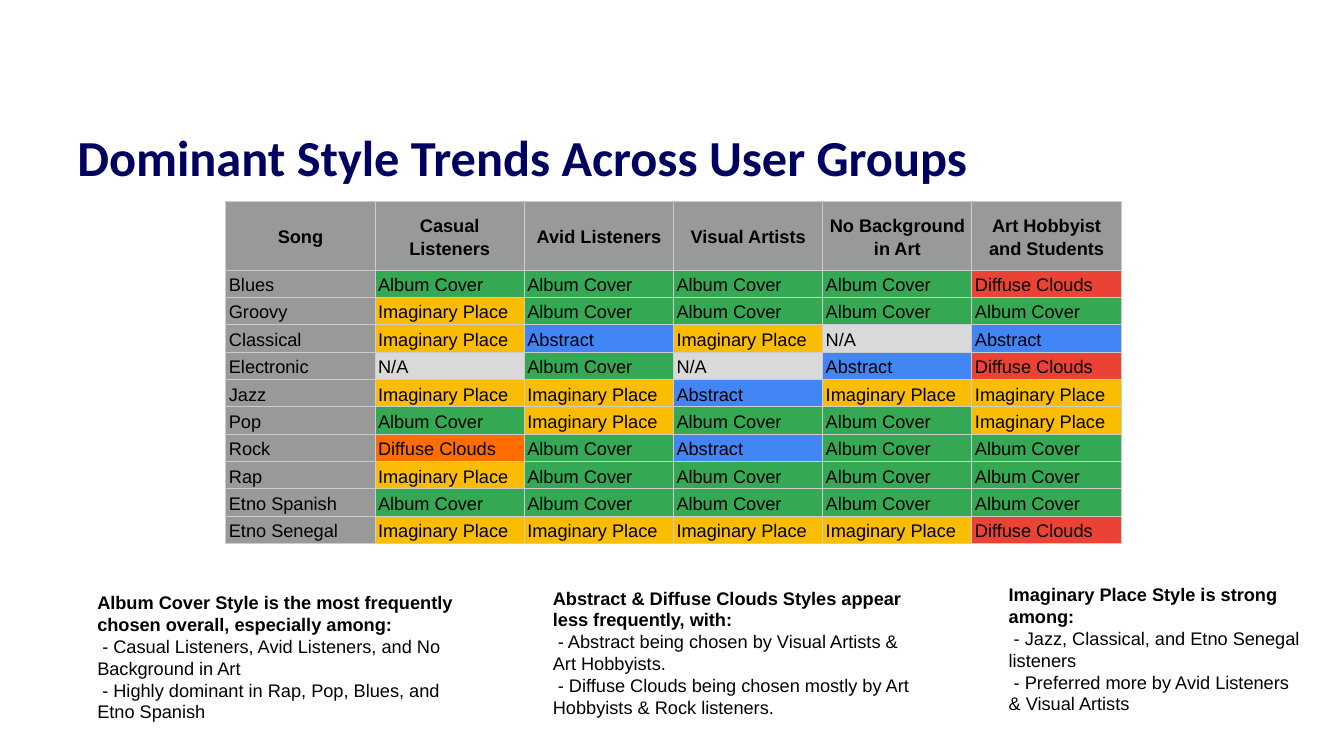
from dataclasses import dataclass

from lxml.etree import SubElement
from pptx import Presentation
from pptx.dml.color import RGBColor
from pptx.enum.text import MSO_ANCHOR as Anchor, MSO_AUTO_SIZE as AutoSize, PP_ALIGN as Align
from pptx.oxml.ns import qn
from pptx.util import Inches, Pt


@dataclass(frozen=True)
class Theme:
    title_font: str = "Calibri"
    body_font: str = "Arial"
    title_size: int = 36
    body_size: int = 13
    title_color: str = "000061"
    ink: str = "000000"
    label_fill: str = "999999"
    border: str = "CCCCCC"
    border_width: float = 0.75


THEME = Theme()
WIDTH, HEIGHT = Inches(13.33), Inches(7.5)

# Each style code stands for a label and a cell colour
STYLES = {
    "A": ("Album Cover", "34A853"),
    "I": ("Imaginary Place", "FBBC04"),
    "B": ("Abstract", "4285F4"),
    "D": ("Diffuse Clouds", "EA4335"),
    "O": ("Diffuse Clouds", "FF6D01"),
    "N": ("N/A", "D9D9D9"),
}
HEADERS = ["Song", "Casual Listeners", "Avid Listeners", "Visual Artists",
           "No Background in Art", "Art Hobbyist and Students"]
SONGS = {
    "Blues": "AAAAD",
    "Groovy": "IAAAA",
    "Classical": "IBINB",
    "Electronic": "NANBD",
    "Jazz": "IIBII",
    "Pop": "AIAAI",
    "Rock": "OABAA",
    "Rap": "IAAAA",
    "Etno Spanish": "AAAAA",
    "Etno Senegal": "IIIID",
}

ALBUM_NOTE = (
    "Album Cover Style is the most frequently chosen overall, especially among:",
    " - Casual Listeners, Avid Listeners, and No Background in Art",
    " - Highly dominant in Rap, Pop, Blues, and Etno Spanish",
)
ABSTRACT_NOTE = (
    "Abstract & Diffuse Clouds Styles appear less frequently, with:",
    " - Abstract being chosen by Visual Artists & Art Hobbyists.",
    " - Diffuse Clouds being chosen mostly by Art Hobbyists & Rock listeners.",
)
IMAGINARY_NOTE = (
    "Imaginary Place Style is strong among:",
    " - Jazz, Classical, and Etno Senegal listeners",
    " - Preferred more by Avid Listeners & Visual Artists",
)


def place(box, left, top, width, height):
    """Position a box by shares of the slide's size."""
    box.left, box.top = int(WIDTH * left), int(HEIGHT * top)
    box.width, box.height = int(WIDTH * width), int(HEIGHT * height)


def style_font(font, bold=False, name=THEME.body_font, size=THEME.body_size, color=THEME.ink):
    font.name, font.size, font.bold = name, Pt(size), bold
    font.color.rgb = RGBColor.from_string(color)


def set_insets(frame, side, top, bottom):
    frame.margin_left = frame.margin_right = Inches(side)
    frame.margin_top, frame.margin_bottom = Inches(top), Inches(bottom)


def fill_title(title, text):
    place(title, 0.05, 0.16, 0.9, 0.083)
    frame = title.text_frame
    frame.text = text
    frame.auto_size, frame.vertical_anchor = AutoSize.NONE, Anchor.TOP
    set_insets(frame, 0.1, 0.12, 0.05)
    para = frame.paragraphs[0]
    para.alignment, para.line_spacing = Align.LEFT, 0.9
    style_font(para.runs[0].font, True, THEME.title_font, THEME.title_size, THEME.title_color)


def fill_note(box, lines, inset, auto_size):
    """Write a bold lead line followed by plain lines."""
    frame = box.text_frame
    frame.word_wrap, frame.vertical_anchor = True, Anchor.TOP
    frame.auto_size = auto_size
    set_insets(frame, 0.1, inset, inset)
    para = frame.paragraphs[0]
    para.text = "\v".join(lines)
    para.alignment, para.space_before = Align.LEFT, Pt(0)
    properties = para._p.get_or_add_pPr()
    properties.set("marL", "0")
    properties.set("indent", "0")
    SubElement(properties, qn("a:buNone"))
    for index, span in enumerate(para.runs):
        style_font(span.font, bold=index == 0)


def add_note(page, lines, *area):
    box = page.shapes.add_textbox(0, 0, 0, 0)
    fill_note(box, lines, 0.1, AutoSize.SHAPE_TO_FIT_TEXT)
    place(box, *area)


def add_borders(cell):
    properties = cell._tc.get_or_add_tcPr()
    for index, side in enumerate(("a:lnL", "a:lnR", "a:lnT", "a:lnB")):
        line = properties.makeelement(qn(side), {"w": str(Pt(THEME.border_width))})
        solid = SubElement(line, qn("a:solidFill"))
        SubElement(solid, qn("a:srgbClr"), val=THEME.border)
        properties.insert(index, line)


def fill_cell(cell, text, color, header=False):
    cell.text = text
    cell.fill.solid()
    cell.fill.fore_color.rgb = RGBColor.from_string(color)
    cell.vertical_anchor = Anchor.MIDDLE if header else Anchor.BOTTOM
    set_insets(cell, 0.03, 0.02, 0.02)
    para = cell.text_frame.paragraphs[0]
    para.alignment = Align.CENTER if header else Align.LEFT
    para.line_spacing = 1.15
    style_font(para.runs[0].font, bold=header)
    add_borders(cell)


def add_style_table(page):
    column, header_row, song_row = Inches(1.48), Inches(0.68), Inches(0.26)
    frame = page.shapes.add_table(
        len(SONGS) + 1, len(HEADERS), Inches(2.24), Inches(2),
        column * len(HEADERS), header_row + song_row * len(SONGS))
    table = frame.table
    for table_column in table.columns:
        table_column.width = column
    for index, row in enumerate(table.rows):
        row.height = song_row if index else header_row

    for index, header in enumerate(HEADERS):
        fill_cell(table.cell(0, index), header, THEME.label_fill, header=True)
    for row, (song, codes) in enumerate(SONGS.items(), start=1):
        entries = [(song, THEME.label_fill)] + [STYLES[code] for code in codes]
        for index, (text, color) in enumerate(entries):
            fill_cell(table.cell(row, index), text, color)


def main():
    deck = Presentation()
    deck.slide_width, deck.slide_height = WIDTH, HEIGHT
    page = deck.slides.add_slide(deck.slide_layouts[1])

    # Title and the right-hand note use the template's placeholders
    fill_title(page.shapes.title, "Dominant Style Trends Across User Groups")
    body = page.placeholders[1]
    place(body, 0.743, 0.765, 0.232, 0.175)
    fill_note(body, IMAGINARY_NOTE, 0.05, AutoSize.NONE)

    # Table of the dominant style per song and group
    add_style_table(page)

    # Left and middle notes
    add_note(page, ALBUM_NOTE, 0.065, 0.769, 0.295, 0.203)
    add_note(page, ABSTRACT_NOTE, 0.404, 0.763, 0.285, 0.203)

    deck.save("out.pptx")


if __name__ == "__main__":
    main()
